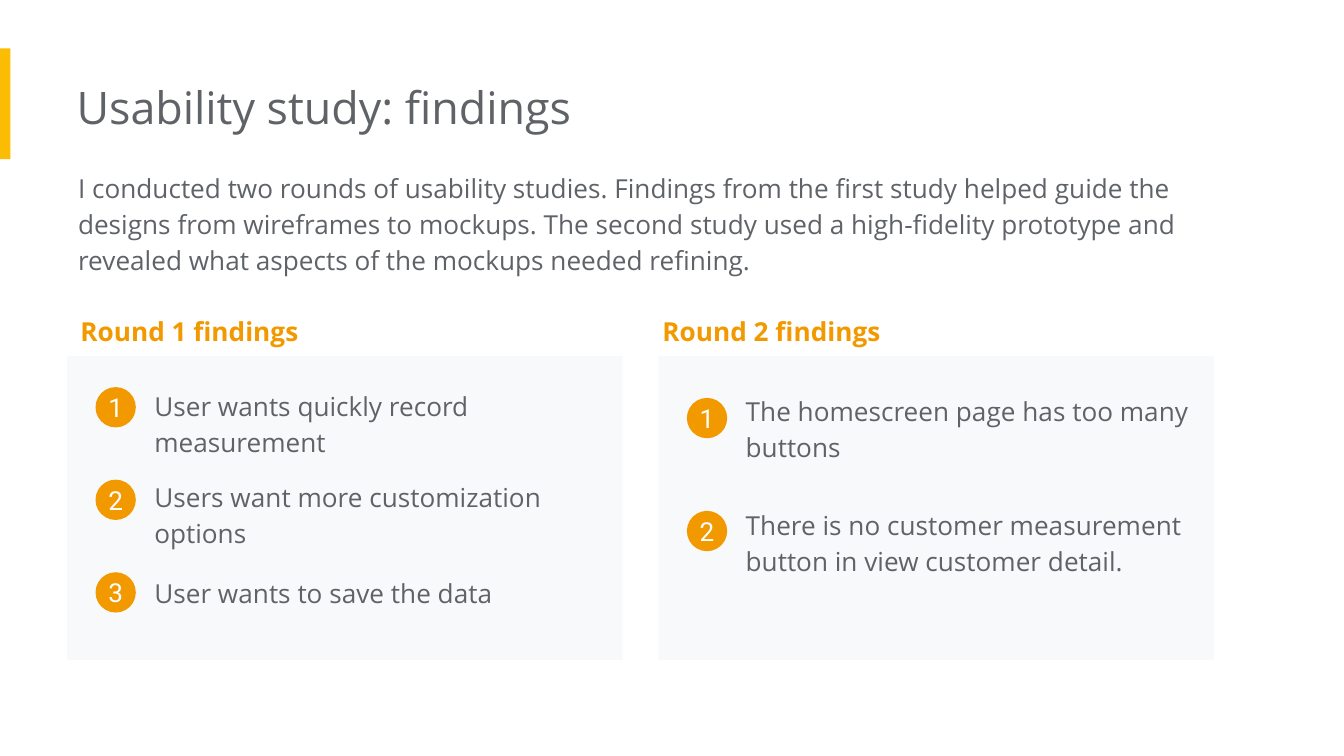
import pptx
import pptx.util
import pptx.dml.color
import pptx.enum.shapes
import pptx.enum.text
import pptx.oxml
import pptx.oxml.ns

Pt = pptx.util.Pt
Shape = pptx.enum.shapes.MSO_SHAPE
Align = pptx.enum.text.PP_ALIGN
Anchor = pptx.enum.text.MSO_ANCHOR

COLORS = {"text": "5F6368", "accent": "F29900", "bar": "FBBC04",
          "card": "F8F9FA", "white": "FFFFFF"}

TITLE = "Usability study: findings"
INTRO = ("I conducted two rounds of usability studies. Findings from the first study "
         "helped guide the designs from wireframes to mockups. The second study used a "
         "high-fidelity prototype and revealed what aspects of the mockups needed refining.")

# Each finding is its wording and the top of its text box.
ROUNDS = [
    {"heading": "Round 1 findings", "heading_left": 36, "card_left": 36,
     "badge_top": 207.4, "badge_pitch": 49.6,
     "findings": [("User wants quickly record measurement", 199.4),
                  ("Users want more customization options", 248.4),
                  ("User wants to save the data", 299.7)]},
    {"heading": "Round 2 findings", "heading_left": 347.8, "card_left": 352.8,
     "badge_top": 213.2, "badge_pitch": 60.5,
     "findings": [("The homescreen page has too many buttons", 202.3),
                  ("There is no customer measurement button in view customer detail.", 263.3)]},
]

CARD_TOP, CARD_WIDTH, CARD_HEIGHT = 190.8, 297.5, 162.7
HEADING_TOP, HEADING_HEIGHT = 159.1, 31.7
COLUMN_WIDTH = 262.8
BADGE_OFFSET, BADGE_SIZE = 15.2, 21.6
FINDING_OFFSET, FINDING_HEIGHT = 39.6, 53.3


def write(shape, text, size=14, font="Open Sans", color="text", bold=False,
          align=Align.LEFT, anchor=Anchor.TOP, spacing=1.15, margins=(7.2, 7.2, 7.2, 7.2)):
    """Fill a shape with one paragraph; margins run left, top, right, bottom."""
    frame = shape.text_frame
    frame.word_wrap = True
    frame.auto_size = pptx.enum.text.MSO_AUTO_SIZE.NONE
    frame.vertical_anchor = anchor
    (frame.margin_left, frame.margin_top,
     frame.margin_right, frame.margin_bottom) = map(Pt, margins)
    paragraph = frame.paragraphs[0]
    paragraph.alignment = align
    paragraph.line_spacing = spacing
    paragraph.space_before = Pt(0)
    run = paragraph.add_run()
    run.text = text
    run.font.size = Pt(size)
    run.font.name = font
    run.font.bold = bold
    run.font.color.rgb = pptx.dml.color.RGBColor.from_string(COLORS[color])
    return paragraph


def place(shape, left, top, width, height):
    shape.left, shape.top, shape.width, shape.height = map(Pt, (left, top, width, height))


def add_filled(slide, kind, color, *box):
    shape = slide.shapes.add_shape(kind, *map(Pt, box))
    shape.shadow.inherit = False
    shape.fill.solid()
    shape.fill.fore_color.rgb = pptx.dml.color.RGBColor.from_string(COLORS[color])
    shape.line.fill.background()
    return shape


def remove_bullet(paragraph):
    properties = paragraph._p.get_or_add_pPr()
    properties.set("marL", "0")
    properties.set("indent", "0")
    properties.append(pptx.oxml.parse_xml(
        "<a:buNone %s/>" % pptx.oxml.ns.nsdecls("a")))


def add_round(slide, study_round):
    left = study_round["card_left"]
    heading = slide.shapes.add_textbox(*map(Pt, (
        study_round["heading_left"], HEADING_TOP, COLUMN_WIDTH, HEADING_HEIGHT)))
    write(heading, study_round["heading"], color="accent", bold=True)
    add_filled(slide, Shape.RECTANGLE, "card", left, CARD_TOP, CARD_WIDTH, CARD_HEIGHT)
    for index, (finding, top) in enumerate(study_round["findings"]):
        text_box = slide.shapes.add_textbox(*map(Pt, (
            left + FINDING_OFFSET, top, COLUMN_WIDTH, FINDING_HEIGHT)))
        write(text_box, finding)
        badge_top = study_round["badge_top"] + index * study_round["badge_pitch"]
        badge = add_filled(slide, Shape.OVAL, "accent",
                           left + BADGE_OFFSET, badge_top, BADGE_SIZE, BADGE_SIZE)
        write(badge, str(index + 1), font="Roboto", color="white", align=Align.CENTER,
              anchor=Anchor.MIDDLE, spacing=1.0, margins=(0, 0, 0, 0))


def main():
    presentation = pptx.Presentation()
    presentation.slide_width, presentation.slide_height = Pt(720), Pt(405)
    slide = presentation.slides.add_slide(presentation.slide_layouts[1])

    title, intro = slide.shapes.title, slide.placeholders[1]
    place(title, 41, 35.3, 484.6, 44)
    write(title, TITLE, size=24, spacing=1.0, margins=(0, 7.2, 7.2, 7.2))
    place(intro, 41.8, 82.8, 620, 72.7)
    remove_bullet(write(intro, INTRO, margins=(0, 7.2, 7.2, 7.2)))

    add_filled(slide, Shape.RECTANGLE, "bar", 0, 26, 5.6, 59.3)
    for study_round in ROUNDS:
        add_round(slide, study_round)
    presentation.save("out.pptx")


if __name__ == "__main__":
    main()
